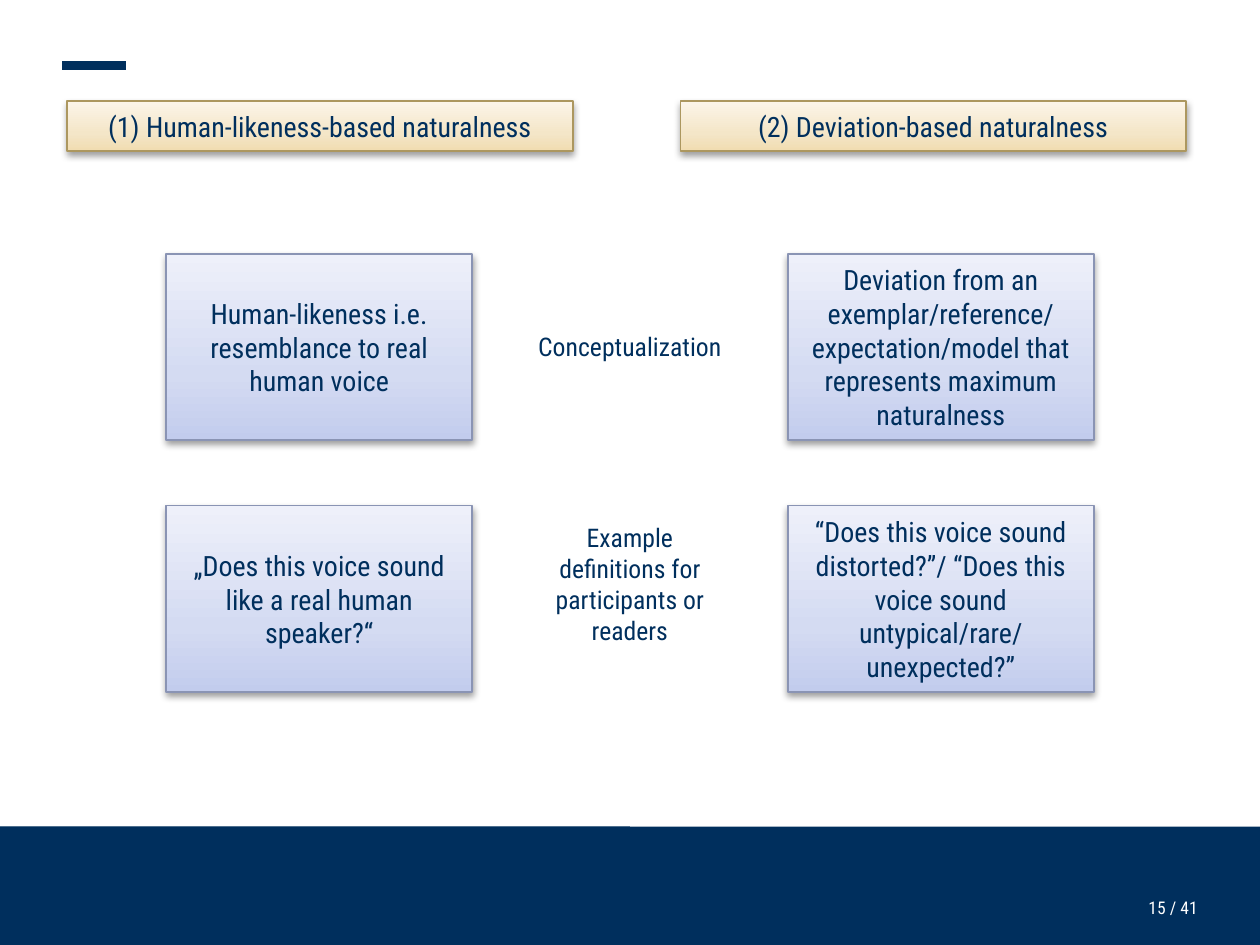
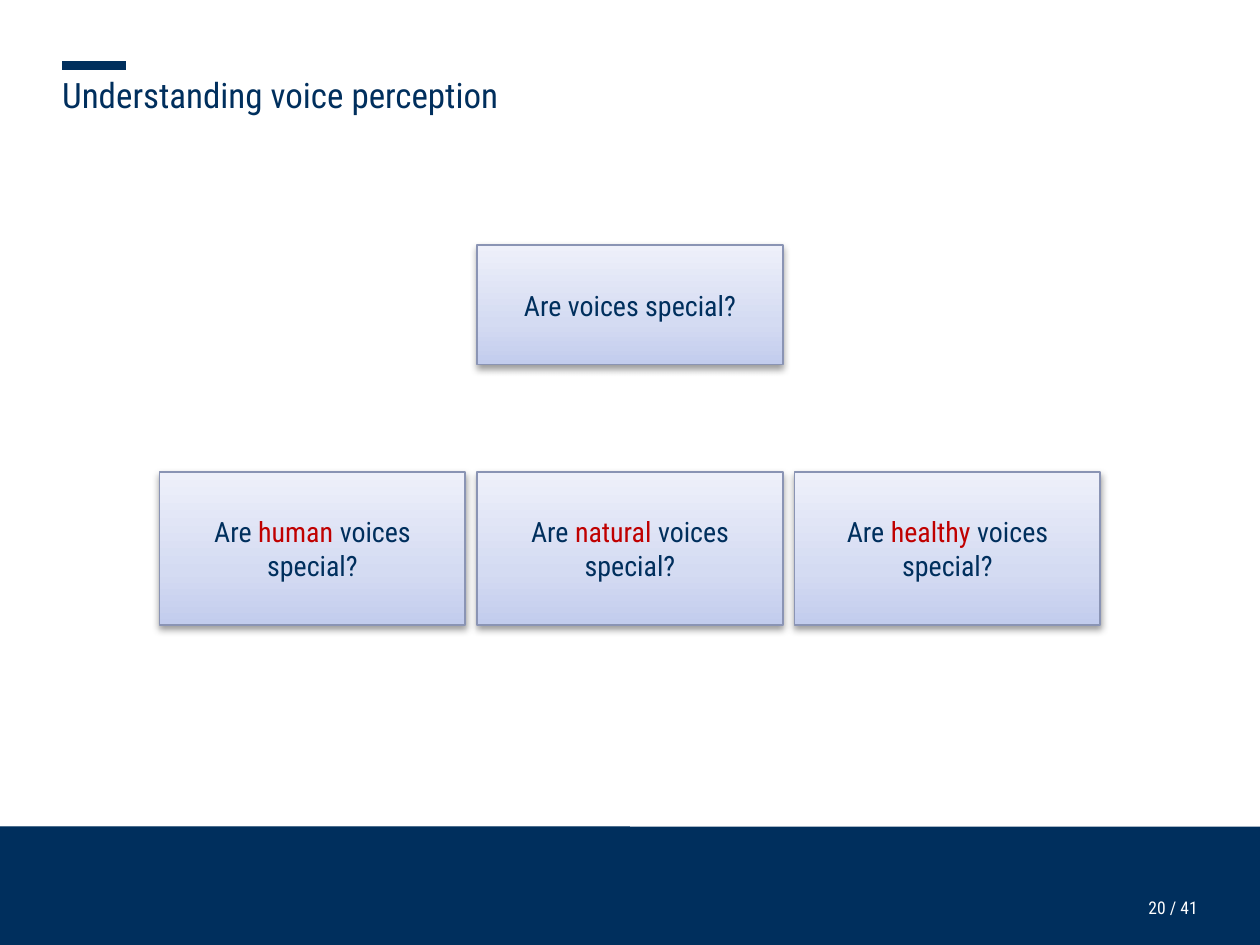
"""Build two slides on how voice naturalness is defined and studied."""
from copy import deepcopy

from lxml import etree
from pptx import Presentation
from pptx.dml.color import RGBColor
from pptx.enum.shapes import MSO_CONNECTOR, MSO_SHAPE
from pptx.enum.text import MSO_ANCHOR, PP_ALIGN
from pptx.oxml.ns import qn
from pptx.util import Inches, Pt

RECTANGLE = MSO_SHAPE.RECTANGLE
STRAIGHT = MSO_CONNECTOR.STRAIGHT
TOP, MIDDLE = MSO_ANCHOR.TOP, MSO_ANCHOR.MIDDLE
LEFT, CENTER, RIGHT = PP_ALIGN.LEFT, PP_ALIGN.CENTER, PP_ALIGN.RIGHT

NAVY = RGBColor(0x00, 0x2F, 0x5D)
WHITE = RGBColor(0xFF, 0xFF, 0xFF)
RED = RGBColor(0xC0, 0x00, 0x00)
GOLD_LINE = RGBColor(0xAC, 0x97, 0x5F)
BLUE_LINE = RGBColor(0x8A, 0x94, 0xB4)
GOLD_STOPS = (
    (0, RGBColor(0xF1, 0xDC, 0xB0)),
    (0.35, RGBColor(0xF4, 0xE6, 0xC8)),
    (1, RGBColor(0xFC, 0xF5, 0xE9)),
)
BLUE_STOPS = (
    (0, RGBColor(0xC2, 0xCC, 0xED)),
    (0.35, RGBColor(0xD4, 0xDB, 0xF2)),
    (1, RGBColor(0xEE, 0xF0, 0xFA)),
)

FONT = "Roboto Condensed"
WIDTH = 7.5
HEIGHT = WIDTH * 3 / 4
MIDDLE_X = WIDTH / 2
MARGIN = 0.37
BAND_TOP = 4.92
CARD_WIDTH = 1.82
CARD_PITCH = 1.89
PAGE_TOTAL = 41


def box(left, top, width, height):
    """Return a position and size in slide units."""
    return [Inches(length) for length in (left, top, width, height)]


def centered_box(center, top, width, height):
    """Return a box placed around a horizontal center."""
    return box(center - width / 2, top, width, height)


def write(shape, paragraphs, size, color=NAVY, align=CENTER, anchor=MIDDLE, inset=None):
    """Fill a shape with paragraphs, each a list of (text, color or None) runs."""
    frame = shape.text_frame
    frame.word_wrap = True
    frame.vertical_anchor = anchor
    if inset is not None:
        frame.margin_left = frame.margin_right = Inches(inset)
        frame.margin_top = frame.margin_bottom = Inches(inset)
    for index, runs in enumerate(paragraphs):
        paragraph = frame.add_paragraph() if index else frame.paragraphs[0]
        paragraph.alignment = align
        paragraph.font.name = FONT
        paragraph.font.size = Pt(size)
        paragraph.font.color.rgb = color
        for text, highlight in runs:
            run = paragraph.add_run()
            run.text = text
            if highlight is not None:
                run.font.color.rgb = highlight


def plain(*lines):
    """Return one single-run paragraph for each line."""
    return [[(line, None)] for line in lines]


def add_text(slide, place, paragraphs, size, **style):
    """Add a text box."""
    write(slide.shapes.add_textbox(*place), paragraphs, size, **style)


def add_bar(slide, place):
    """Add a plain navy rectangle."""
    bar = slide.shapes.add_shape(RECTANGLE, *place)
    bar.shadow.inherit = False
    bar.fill.solid()
    bar.fill.fore_color.rgb = NAVY
    bar.line.fill.background()
    return bar


def set_alpha(color_element, percent):
    """Make a colour element partly transparent."""
    etree.SubElement(color_element, qn("a:alpha"), val=str(percent * 1000))


def set_gradient(shape, stops):
    """Fill a shape with a gradient that runs from bottom to top."""
    shape.fill.gradient()
    stop_list = shape.element.spPr.find(".//" + qn("a:gsLst"))
    stop_list.append(deepcopy(stop_list[0]))
    shape.fill.gradient_angle = 90
    for stop, (position, color) in zip(shape.fill.gradient_stops, stops):
        stop.position = position
        stop.color.rgb = color


def add_shadow(shape):
    """Give a shape a soft shadow below it."""
    shape.shadow.inherit = False
    effects = shape.element.spPr.find(qn("a:effectLst"))
    shadow = etree.SubElement(
        effects, qn("a:outerShdw"), blurRad=str(Pt(3.1)), dist=str(Pt(1.6)),
        dir=str(90 * 60000), rotWithShape="0")
    set_alpha(etree.SubElement(shadow, qn("a:srgbClr"), val="000000"), 38)


def add_card(slide, place, paragraphs, stops=BLUE_STOPS, line_color=BLUE_LINE):
    """Add a gradient card with centered text."""
    card = slide.shapes.add_shape(RECTANGLE, *place)
    set_gradient(card, stops)
    card.line.color.rgb = line_color
    card.line.width = Pt(0.75)
    add_shadow(card)
    write(card, paragraphs, 12)


def add_slide(presentation, page, title=None):
    """Add a slide with the footer band, page number, accent line and title."""
    slide = presentation.slides.add_slide(presentation.slide_layouts[6])
    add_bar(slide, box(0, BAND_TOP, WIDTH, HEIGHT - BAND_TOP))
    strip = add_bar(slide, box(0, BAND_TOP, WIDTH / 2, 0.04))
    set_alpha(strip.element.spPr.find(".//" + qn("a:srgbClr")), 80)
    add_text(slide, box(2.89, 5.34, WIDTH - MARGIN - 2.89, 0.17),
             plain(f"{page} / {PAGE_TOTAL}"), 7.5,
             color=WHITE, align=RIGHT, anchor=TOP, inset=0)
    accent = slide.shapes.add_connector(
        STRAIGHT, Inches(MARGIN), Inches(0.39), Inches(0.75), Inches(0.39))
    accent.line.color.rgb = NAVY
    accent.line.width = Pt(3.5)
    etree.SubElement(accent.element.spPr, qn("a:effectLst"))
    if title:
        add_text(slide, box(MARGIN, 0.44, 5.32, 0.3), plain(title), 15,
                 align=LEFT, anchor=TOP, inset=0)
    return slide


def add_definitions(presentation):
    """Compare the two kinds of naturalness."""
    slide = add_slide(presentation, 15)
    headers = (
        (0.4, "(1) Human-likeness-based naturalness"),
        (4.05, "(2) Deviation-based naturalness"),
    )
    for left, header in headers:
        add_card(slide, box(left, 0.6, 3.01, 0.3), plain(header), GOLD_STOPS, GOLD_LINE)
    rows = (
        (1.92, 0.29, "Conceptualization",
         ["Human-likeness i.e. resemblance to real human voice"],
         ["Deviation from an exemplar/reference/ expectation/model "
          "that represents maximum naturalness"]),
        (3.06, 0.84, "Example definitions for participants or readers",
         ["„Does this voice sound like a real human speaker?“"],
         ["“Does this voice sound distorted?”/ “Does this voice sound untypical/rare/",
          "unexpected?”"]),
    )
    for index, (label_top, label_height, label, *cards) in enumerate(rows):
        for side, lines in zip((-1, 1), cards):
            place = centered_box(
                MIDDLE_X + side * 1.85, 1.51 + index * 1.5, CARD_WIDTH, 1.11)
            add_card(slide, place, plain(*lines))
        add_text(slide, centered_box(MIDDLE_X, label_top, 1.3, label_height),
                 plain(label), 11, anchor=TOP)


def add_questions(presentation):
    """Split the main question into three narrower ones."""
    slide = add_slide(presentation, 20, "Understanding voice perception")
    add_card(slide, centered_box(MIDDLE_X, 1.46, CARD_WIDTH, 0.71),
             plain("Are voices special?"))
    for column, quality in enumerate(("human", "natural", "healthy"), start=-1):
        place = centered_box(MIDDLE_X + column * CARD_PITCH, 2.81, CARD_WIDTH, 0.91)
        runs = [("Are ", None), (quality, RED), (" voices special?", None)]
        add_card(slide, place, [runs])


def main():
    """Build and save the presentation."""
    presentation = Presentation()
    presentation.slide_width = Inches(WIDTH)
    presentation.slide_height = Inches(HEIGHT)
    add_definitions(presentation)
    add_questions(presentation)
    presentation.save("out.pptx")


if __name__ == "__main__":
    main()
